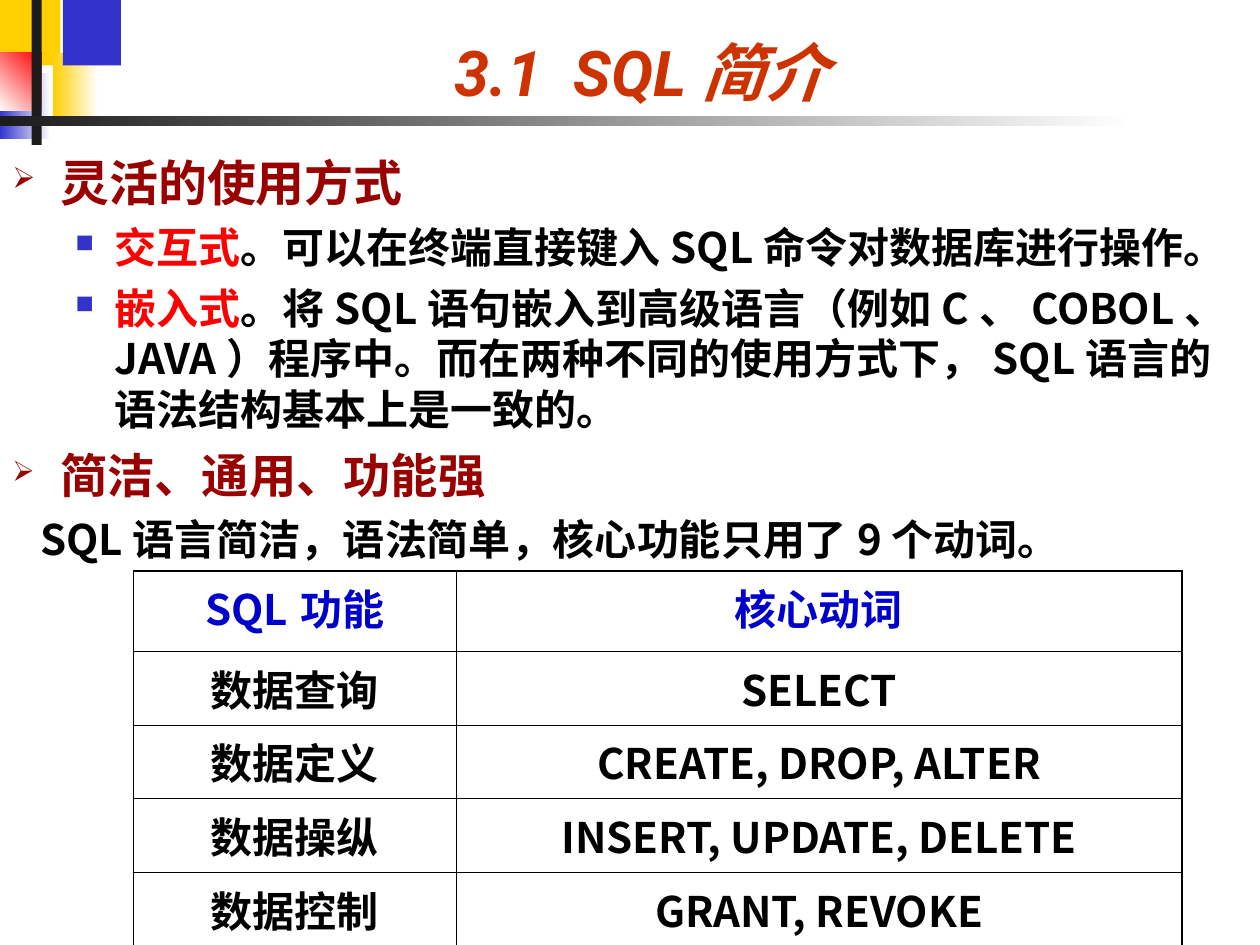
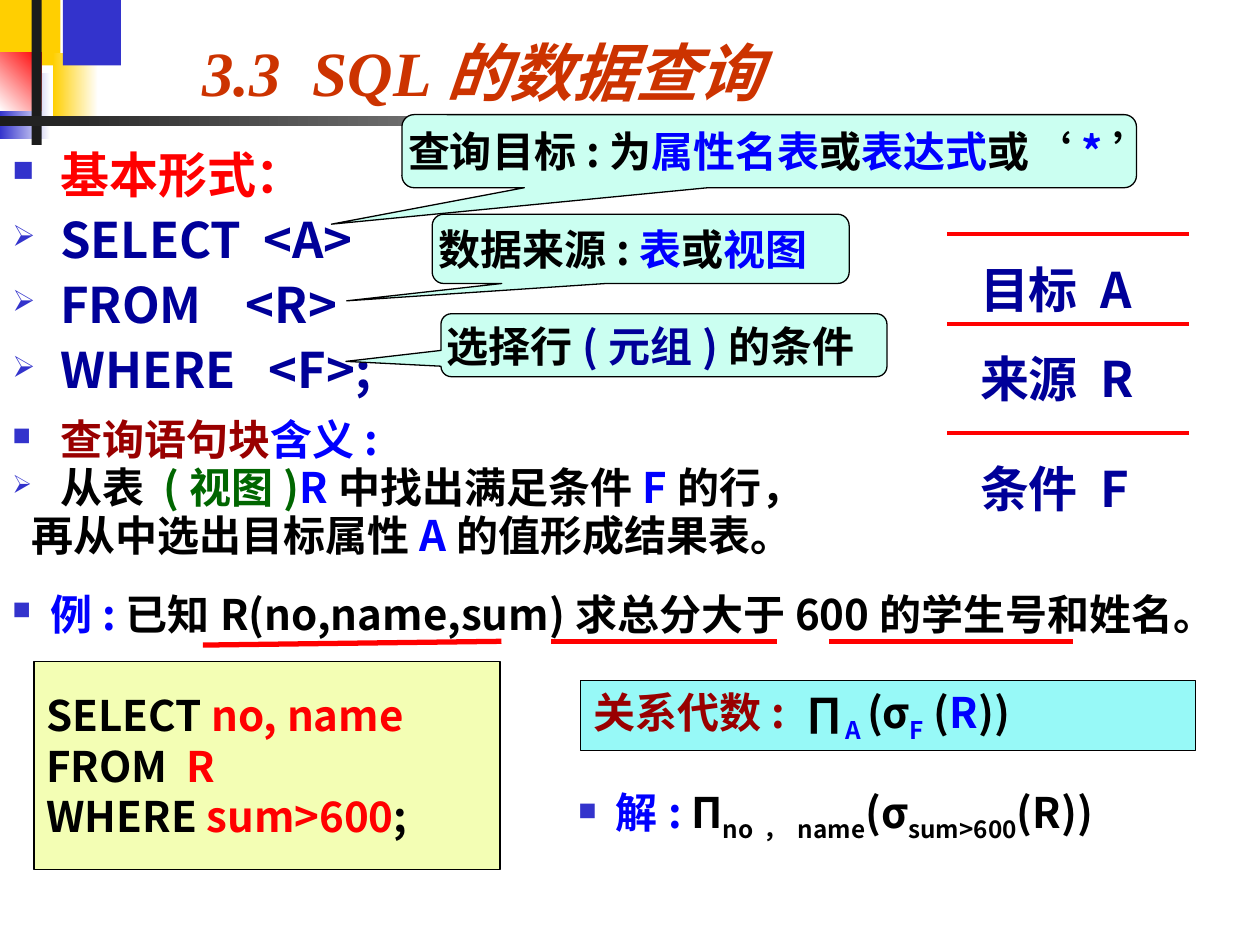
from dataclasses import dataclass

from lxml.etree import SubElement
from pptx import Presentation
from pptx.dml.color import RGBColor
from pptx.enum.shapes import MSO_CONNECTOR, MSO_SHAPE
from pptx.enum.text import MSO_ANCHOR, MSO_AUTO_SIZE, PP_ALIGN
from pptx.oxml.ns import qn
from pptx.util import Inches, Pt


@dataclass(frozen=True)
class Theme:
    font: str = "Noto Sans CJK SC"
    black: str = "000000"
    white: str = "FFFFFF"
    ink: str = "1C1C1C"
    title: str = "CC3300"
    maroon: str = "990000"
    red: str = "FF0000"
    blue: str = "0000FF"
    navy: str = "000099"
    green: str = "006600"
    header: str = "0000CC"
    violet: str = "3333CC"
    yellow: str = "FFCF01"
    mint: str = "CBFFF1"
    cyan: str = "97F9F7"
    lemon: str = "F3FEB4"
    title_size: float = 36
    head_size: float = 28
    subhead_size: float = 27
    body_size: float = 24
    thin: float = 0.45
    outer: float = 1.08
    outline: float = 0.75


T = Theme()
SQUARE, ARROW = "■", "➢"
MARGINS = (0.1, 0.05)


@dataclass
class Piece:
    """Text in one colour; gap widens its last character by that many points."""
    text: str
    color: str = T.black
    sub: bool = False
    gap: float = 0
    font: str = T.font


@dataclass
class Para:
    pieces: list
    size: float = T.body_size
    bullet: str = ""
    bullet_color: str = T.violet
    left: float = 0
    hang: float = 0
    before: float = 0
    spacing: float = 1
    align: PP_ALIGN = PP_ALIGN.LEFT


def grid(*units):
    """The slide is a grid of 10 columns by 7.5 rows, one inch each."""
    return [Inches(unit) for unit in units]


def rgb(color):
    return RGBColor.from_string(color)


# Text
def add_piece(paragraph, piece, size, italic=False):
    run = paragraph.add_run()
    run.text = piece.text
    font = run.font
    font.size, font.bold, font.italic = Pt(size), True, italic
    font.color.rgb = rgb(piece.color)
    font.name = piece.font
    properties = run._r.get_or_add_rPr()
    SubElement(properties, qn("a:ea"), typeface=T.font)
    if piece.sub:
        properties.set("baseline", "-25000")
    if piece.gap:
        properties.set("spc", str(round(piece.gap * 100)))


def add_bullet(properties, para):
    if not para.bullet:
        SubElement(properties, qn("a:buNone"))
        return
    color = SubElement(properties, qn("a:buClr"))
    SubElement(color, qn("a:srgbClr"), val=para.bullet_color)
    SubElement(properties, qn("a:buSzPct"), val="60000")
    SubElement(properties, qn("a:buChar"), char=para.bullet)


def write(frame, paras, italic=False):
    for index, para in enumerate(paras):
        paragraph = frame.add_paragraph() if index else frame.paragraphs[0]
        paragraph.alignment = para.align
        paragraph.line_spacing = para.spacing
        paragraph.space_before = Pt(para.before if index else 0)
        properties = paragraph._p.get_or_add_pPr()
        properties.set("marL", str(Inches(para.left)))
        properties.set("indent", str(-Inches(para.hang)))
        add_bullet(properties, para)
        for piece in para.pieces:
            add_piece(paragraph, piece, para.size, italic)


def set_frame(frame, margins=MARGINS, anchor=MSO_ANCHOR.TOP, wrap=True, grow=False):
    frame.margin_left = frame.margin_right = Inches(margins[0])
    frame.margin_top = frame.margin_bottom = Inches(margins[1])
    frame.vertical_anchor, frame.word_wrap = anchor, wrap
    frame.auto_size = MSO_AUTO_SIZE.SHAPE_TO_FIT_TEXT if grow else MSO_AUTO_SIZE.NONE


def add_text(slide, area, paras, grow=False):
    frame = slide.shapes.add_textbox(*grid(*area)).text_frame
    set_frame(frame, grow=grow)
    write(frame, paras)


def bulleted(pieces, bullet=ARROW, **style):
    return Para(pieces, bullet=bullet, **{"left": 0.38, "hang": 0.38, **style})


# Shapes
def add_block(slide, area, fill, kind=MSO_SHAPE.RECTANGLE, outlined=True):
    block = slide.shapes.add_shape(kind, *grid(*area))
    block.shadow.inherit = False
    block.fill.solid()
    block.fill.fore_color.rgb = rgb(fill)
    if outlined:
        block.line.color.rgb = rgb(T.black)
        block.line.width = Pt(T.outline)
    else:
        block.line.fill.background()
    return block


def add_panel(slide, area, fill, paras, **frame_style):
    panel = add_block(slide, area, fill)
    set_frame(panel.text_frame, **frame_style)
    write(panel.text_frame, paras)


def add_callout(slide, area, tip, pieces):
    callout = add_block(slide, area, T.mint, MSO_SHAPE.ROUNDED_RECTANGULAR_CALLOUT)
    for index, value in enumerate((*tip, 0.167)):
        callout.adjustments[index] = value
    set_frame(callout.text_frame, (0.02, 0.01), MSO_ANCHOR.MIDDLE, wrap=False)
    write(callout.text_frame, [Para(pieces)])


def add_red_line(slide, start, end, width):
    rule = slide.shapes.add_connector(MSO_CONNECTOR.STRAIGHT, *grid(*start, *end))
    rule.line.color.rgb = rgb(T.red)
    rule.line.width = Pt(width)
    SubElement(rule._element.spPr, qn("a:effectLst"))


# Shared band and corner blocks, kept on the layout
def decorate(layout, slide):
    blocks = [
        ((0, 0, 0.48, 0.52), T.yellow, None, 0),
        ((0.42, 0.42, 0.36, 0.52), T.yellow, T.white, 0),
        ((0.5, 0, 0.46, 0.52), T.violet, None, 0),
        ((0, 0.58, 0.4, 0.52), T.violet, T.white, 0),
        ((0, 0.42, 0.33, 0.46), T.white, T.red, 45),
        ((0.25, 0, 0.08, 1.15), T.ink, None, 0),
        ((0, 0.92, 9, 0.08), T.ink, T.white, 0),
    ]
    for depth, (area, color, fade, angle) in enumerate(blocks, start=2):
        block = add_block(slide, area, color, outlined=False)
        if fade:
            block.fill.gradient()
            block.fill.gradient_angle = angle
            for stop, shade, position in zip(block.fill.gradient_stops, (color, fade), (0, 1)):
                stop.color.rgb = rgb(shade)
                stop.position = position
        layout.shapes._spTree.insert(depth, block._element)


def set_title(slide, area, pieces):
    title = slide.shapes.title
    title.left, title.top, title.width, title.height = grid(*area)
    set_frame(title.text_frame, anchor=MSO_ANCHOR.BOTTOM)
    write(title.text_frame, [Para(pieces, T.title_size, align=PP_ALIGN.CENTER)], italic=True)


# Table
def set_borders(cell, widths):
    properties = cell._tc.get_or_add_tcPr()
    for depth, (side, width) in enumerate(widths.items()):
        line = SubElement(properties, qn(f"a:{side}"), w=str(Pt(width)))
        fill = SubElement(line, qn("a:solidFill"))
        SubElement(fill, qn("a:srgbClr"), val=T.black)
        properties.insert(depth, line)


def add_verb_table(slide, origin, widths, heights, rows):
    area = (*origin, sum(widths), sum(heights))
    table = slide.shapes.add_table(len(rows), len(widths), *grid(*area)).table
    table.first_row = table.horz_banding = False
    for column, width in zip(table.columns, grid(*widths)):
        column.width = width
    last_row, last_column = len(rows) - 1, len(widths) - 1
    for r, (row, height) in enumerate(zip(rows, grid(*heights))):
        table.rows[r].height = height
        for c, text in enumerate(row):
            cell = table.cell(r, c)
            cell.fill.background()
            color = T.black if r else T.header
            write(cell.text_frame, [Para([Piece(text, color)], align=PP_ALIGN.CENTER)])
            edges = {"lnL": c == 0, "lnR": c == last_column, "lnT": r == 0, "lnB": r == last_row}
            set_borders(cell, {side: T.outer if edge else T.thin for side, edge in edges.items()})


def build_intro(slide):
    set_title(slide, (1.26, 0, 7.66, 0.92), [
        Piece("3.1", T.title, font="Roboto"), Piece(" ", T.title, gap=9, font="Roboto"),
        Piece("SQL简介", T.title, font="Roboto")])

    def heading(text, size):
        return bulleted([Piece(text, T.maroon)], size=size, bullet_color=T.maroon, before=7)

    def usage(mode, text):
        return bulleted([Piece(mode, T.red), Piece(text)], SQUARE, left=0.81, hang=0.31, before=6)

    add_text(slide, (0, 1.16, 10, 3.64), [
        heading("灵活的使用方式", T.head_size),
        usage("交互式", "。可以在终端直接键入SQL命令对数据库进行操作。"),
        usage("嵌入式", "。将SQL语句嵌入到高级语言（例如C、COBOL、JAVA）程序中。"
              "而在两种不同的使用方式下，SQL语言的语法结构基本上是一致的。"),
        heading("简洁、通用、功能强", T.subhead_size),
        Para([Piece("SQL语言简洁，语法简单，核心功能只用了9个动词。")], left=0.22, before=6),
    ])
    add_verb_table(slide, (1.06, 4.53), (2.56, 5.76), (0.64, 0.56, 0.57, 0.57, 0.56), [
        ("SQL功能", "核心动词"),
        ("数据查询", "SELECT"),
        ("数据定义", "CREATE, DROP, ALTER"),
        ("数据操纵", "INSERT, UPDATE, DELETE"),
        ("数据控制", "GRANT, REVOKE"),
    ])


def build_query(slide):
    times = "Times New Roman"
    set_title(slide, (1, 0, 5.65, 0.92), [
        Piece("3.3", T.title, font=times), Piece(" ", T.title, gap=9, font=times),
        Piece("SQL", T.title, font=times), Piece("的数据查询", T.title)])

    # Basic form and its meaning
    form = {"size": T.head_size, "spacing": 0.9, "before": 7}
    clauses = [("SELECT", 6.3, "<A>"), ("FROM", 18.9, "<R>"), ("WHERE", 12.6, "<F>;")]
    add_text(slide, (0, 1.15, 6.18, 2.17), [
        bulleted([Piece("基本形式：", T.red)], SQUARE, **form),
        *(bulleted([Piece(verb, T.navy), Piece(" ", T.navy, gap=gap), Piece(part, T.navy)], **form)
          for verb, gap, part in clauses)])
    meaning = {"spacing": 0.9, "before": 1.5}
    add_text(slide, (0, 3.28, 7.6, 1.48), [
        bulleted([Piece("查询语句块", T.maroon), Piece("含义:", T.blue)], SQUARE, **meaning),
        bulleted([Piece("从表 "), Piece("(视图)", T.green), Piece("R", T.blue),
                  Piece("中找出满足条件"), Piece("F", T.blue), Piece("的行，")], **meaning),
        Para([Piece("再从中选出目标属性"), Piece("A", T.blue), Piece("的值形成结果表。")],
             left=0.15, **meaning)])

    # Callouts explaining each clause
    add_callout(slide, (3.19, 0.91, 5.83, 0.58), (-0.596, 0.999), [
        Piece("查询目标:为"), Piece("属性名表", T.blue), Piece("或"), Piece("表达式", T.blue),
        Piece("或‘"), Piece("*", T.blue), Piece("’")])
    add_callout(slide, (3.43, 1.7, 3.31, 0.55), (-0.705, 0.75), [
        Piece("数据来源:"), Piece("表", T.blue), Piece("或"), Piece("视图", T.blue)])
    add_callout(slide, (3.5, 2.49, 3.54, 0.5), (-0.713, 0.257), [
        Piece("选择行"), Piece("(元组)", T.navy), Piece("的条件")])

    # Summary of the three parts
    for top, label in ((1.86, "目标 A"), (2.57, "来源 R"), (3.44, "条件 F")):
        add_red_line(slide, (7.52, top), (9.44, top), 2.25)
        add_text(slide, (7.68, top + 0.15, 1.59, 0.57),
                 [Para([Piece(label, T.navy)], T.head_size)], grow=True)

    # Worked example
    add_panel(slide, (4.61, 5.4, 4.88, 0.56), T.cyan, [Para([
        Piece("关系代数:", T.maroon), Piece(" ", gap=5.4), Piece("∏"), Piece("A ", T.blue, sub=True),
        Piece("(σ"), Piece("F", T.blue, sub=True), Piece(" ("), Piece("R", T.blue), Piece("))")])],
        grow=True)
    item = {"bullet": SQUARE, "left": 0.3, "hang": 0.3}
    add_text(slide, (0, 4.62, 10, 0.5), [bulleted([
        Piece("例:", T.blue), Piece("已知R(no,name,sum)求总分大于600的学生号和姓名。")], **item)],
        grow=True)
    add_panel(slide, (0.27, 5.25, 3.7, 1.65), T.lemon, [
        Para([Piece("SELECT "), Piece("no, name", T.red)]),
        Para([Piece("FROM"), Piece(" ", gap=5.4), Piece("R", T.red)]),
        Para([Piece("WHERE "), Piece("sum>600", T.red), Piece(";")])],
        anchor=MSO_ANCHOR.MIDDLE, wrap=False)
    add_text(slide, (4.49, 6.19, 5.19, 0.56), [bulleted([
        Piece("解: ", T.blue), Piece("Π"), Piece("no，name", sub=True), Piece("(σ"),
        Piece("sum>600", sub=True), Piece("(R))")], **item)], grow=True)
    for left, right, start_row in ((6.58, 8.52, 5.09), (1.61, 3.98, 5.12), (4.37, 6.17, 5.09)):
        add_red_line(slide, (left, start_row), (right, 5.09), 3)


def main():
    deck = Presentation()
    deck.slide_width, deck.slide_height = grid(10, 7.5)
    layout = deck.slide_layouts[5]
    intro, query = (deck.slides.add_slide(layout) for _ in range(2))
    decorate(layout, intro)
    build_intro(intro)
    build_query(query)
    deck.save("out.pptx")


if __name__ == "__main__":
    main()
